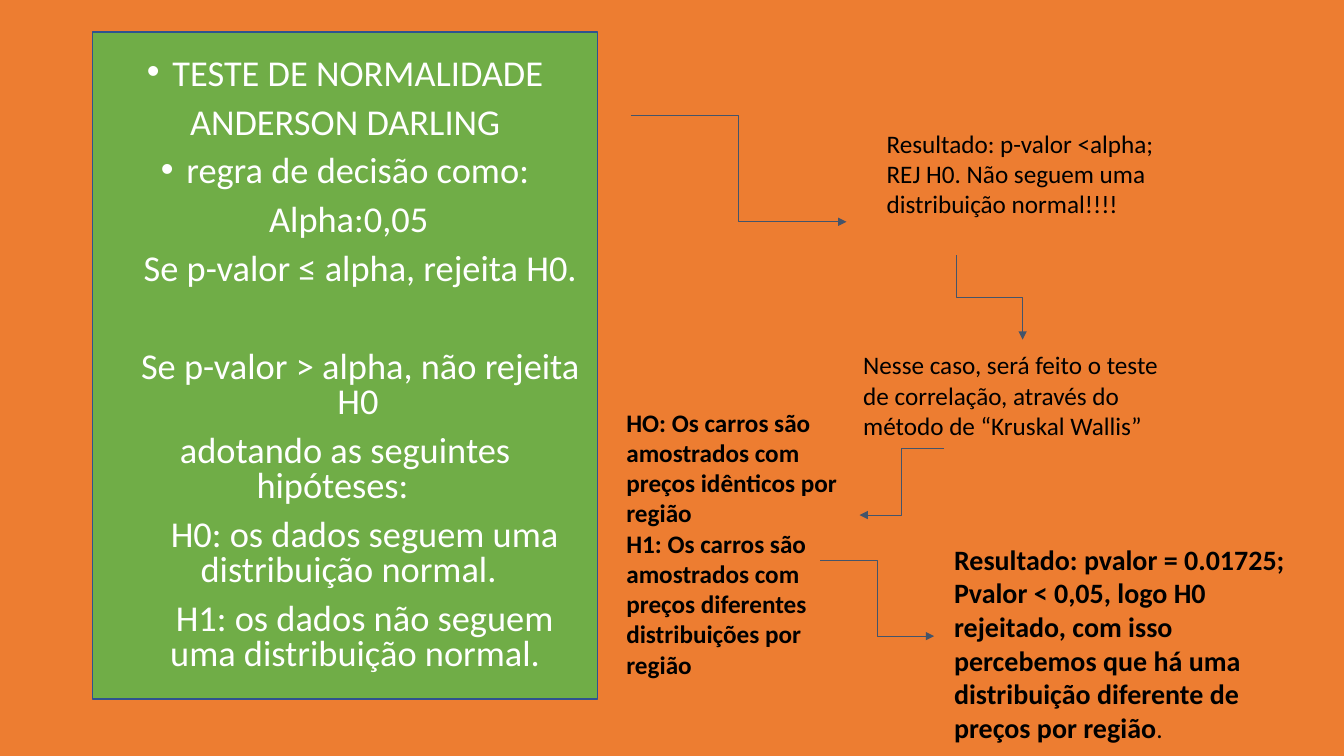
from dataclasses import dataclass

from lxml import etree
from pptx import Presentation
from pptx import util as u
from pptx.dml.color import RGBColor
from pptx.enum import shapes, text
from pptx.oxml import ns


@dataclass(frozen=True)
class Theme:
    font: str = "Calibri"
    background: str = "ED7D31"
    panel: str = "70AD47"
    panel_line: str = "2F528F"
    panel_text: str = "FFFFFF"
    body_text: str = "000000"
    arrow: str = "44546A"
    panel_size: int = 26
    body_size: int = 18
    result_size: int = 20


@dataclass(frozen=True)
class Line:
    """One panel paragraph; margins and first-line indent in centimetres."""
    words: str
    left: float = 0.64
    indent: float = -0.64
    right: float = 0
    before: int = 10
    bullet: bool = False


PANEL_LINES = [
    Line("TESTE DE NORMALIDADE", before=0, bullet=True),
    Line("ANDERSON DARLING"),
    Line("regra de decisão como:", bullet=True),
    Line("Alpha:0,05", indent=-0.46),
    Line("Se p-valor ≤ alpha, rejeita H0.", indent=0.13),
    Line("Se p-valor > alpha, não rejeita H0", indent=0.13, before=45),
    Line("adotando as seguintes hipóteses:", left=0, indent=0.64, right=0.64),
    Line("H0: os dados seguem uma distribuição normal.", left=0.18, indent=0.81),
    Line("H1: os dados não seguem uma distribuição normal.", indent=0.48, right=0.13),
]


class SlideBuilder:
    def __init__(self, presentation, theme):
        self.theme = theme
        self.slide = presentation.slides.add_slide(presentation.slide_layouts[6])
        self.fill(self.slide.background.fill, theme.background)

    def fill(self, fill, color):
        fill.solid()
        fill.fore_color.rgb = RGBColor.from_string(color)

    def format_run(self, run, size, color, bold=False):
        run.font.name = self.theme.font
        run.font.size = u.Pt(size)
        run.font.bold = bold
        run.font.color.rgb = RGBColor.from_string(color)

    def panel(self, left, top, width, height, lines):
        theme = self.theme
        shape = self.slide.shapes.add_shape(
            shapes.MSO_SHAPE.RECTANGLE, *map(u.Cm, (left, top, width, height)))
        shape.shadow.inherit = False
        self.fill(shape.fill, theme.panel)
        self.fill(shape.line.fill, theme.panel_line)
        shape.line.width = u.Pt(1)
        frame = shape.text_frame
        frame.word_wrap = True
        frame.vertical_anchor = text.MSO_ANCHOR.MIDDLE
        frame.text = "\n".join(line.words for line in lines)
        for paragraph, line in zip(frame.paragraphs, lines):
            self.indent(paragraph, line)
            paragraph.alignment = text.PP_ALIGN.CENTER
            paragraph.line_spacing = 0.8
            paragraph.space_before = u.Pt(line.before)
            self.format_run(paragraph.runs[0], theme.panel_size, theme.panel_text)

    def indent(self, paragraph, line):
        properties = paragraph._p.get_or_add_pPr()
        for name, length in (("marL", line.left), ("marR", line.right), ("indent", line.indent)):
            properties.set(name, str(int(u.Cm(length))))
        if line.bullet:
            etree.SubElement(properties, ns.qn("a:buFont"), typeface="Arial")
            etree.SubElement(properties, ns.qn("a:buChar"), char="•")
        else:
            etree.SubElement(properties, ns.qn("a:buNone"))

    def note(self, left, top, width, height, words, size, bold=False):
        box = self.slide.shapes.add_textbox(*map(u.Cm, (left, top, width, height)))
        box.text_frame.word_wrap = True
        box.text_frame.text = words
        for paragraph in box.text_frame.paragraphs:
            self.format_run(paragraph.runs[0], size, self.theme.body_text, bold)
        return box.text_frame

    def elbow_arrow(self, begin, end, downward=False):
        """Draw an elbow that leaves sideways, or downward if asked."""
        (x1, y1), (x2, y2) = begin, end
        if downward:
            # The frame is laid on its side about its centre, then turned back.
            middle_x, middle_y = (x1 + x2) / 2, (y1 + y2) / 2
            half_width, half_height = (y2 - y1) / 2, (x2 - x1) / 2
            x1, x2 = middle_x + half_width, middle_x - half_width
            y1, y2 = middle_y - half_height, middle_y + half_height
        connector = self.slide.shapes.add_connector(
            shapes.MSO_CONNECTOR.ELBOW, *map(u.Cm, (x1, y1, x2, y2)))
        properties = connector._element.spPr
        if downward:
            properties.find(ns.qn("a:xfrm")).set("rot", str(270 * 60000))
        self.fill(connector.line.fill, self.theme.arrow)
        connector.line.width = u.Pt(0.5)
        etree.SubElement(connector.line._get_or_add_ln(), ns.qn("a:tailEnd"), type="triangle")
        etree.SubElement(properties, ns.qn("a:effectLst"))


def main():
    presentation = Presentation()
    presentation.slide_width = u.Cm(33.88)
    presentation.slide_height = u.Cm(19.05)
    theme = Theme()
    builder = SlideBuilder(presentation, theme)

    builder.panel(2.34, 0.81, 12.73, 16.81, PANEL_LINES)
    builder.note(22.1, 3.1, 7.24, 3.3,
                 "Resultado: p-valor <alpha; REJ H0. Não seguem uma distribuição normal!!!!",
                 theme.body_size)
    builder.note(21.51, 8.69, 8.53, 2.54,
                 "Nesse caso, será feito o teste de correlação, através do método de “Kruskal Wallis”",
                 theme.body_size)
    builder.note(15.54, 10.13, 6.58, 7.11,
                 "HO: Os carros são amostrados com preços idênticos por região\n"
                 "H1: Os carros são amostrados com preços diferentes distribuições por região",
                 theme.body_size, bold=True)
    result = builder.note(23.8, 13.54, 9.7, 5.33,
                          "Resultado: pvalor = 0.01725; Pvalor < 0,05, logo H0 rejeitado, com isso "
                          "percebemos que há uma distribuição diferente de preços por região",
                          theme.result_size, bold=True)
    full_stop = result.paragraphs[0].add_run()
    full_stop.text = "."
    builder.format_run(full_stop, theme.body_size, theme.body_text)

    builder.elbow_arrow((15.9, 2.9), (21.34, 5.59))
    builder.elbow_arrow((24.1, 6.43), (25.78, 8.56), downward=True)
    builder.elbow_arrow((23.8, 11.3), (21.67, 12.98))
    builder.elbow_arrow((20.68, 14.12), (23.55, 16.03))
    presentation.save("out.pptx")


if __name__ == "__main__":
    main()
